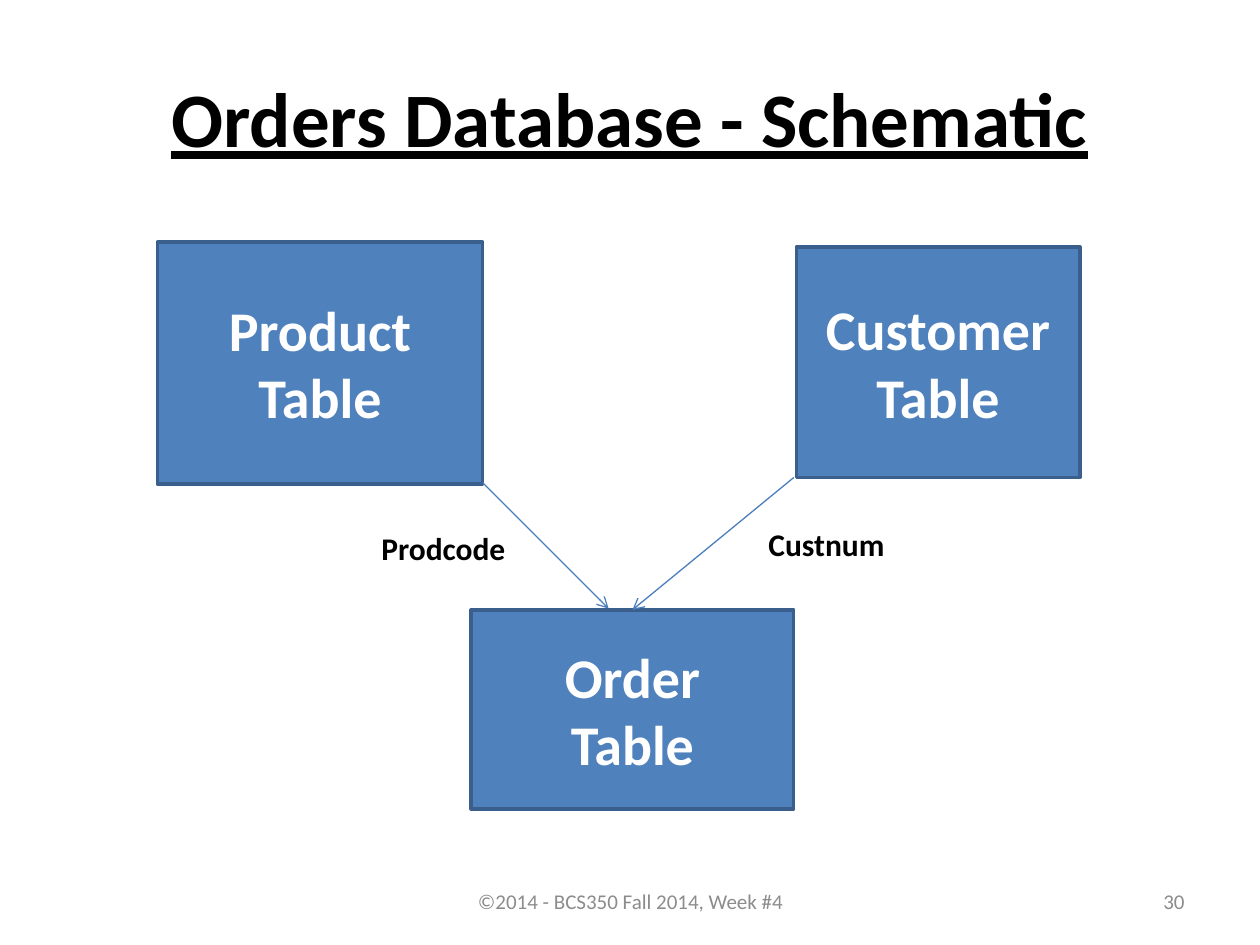
from lxml import etree
from pptx import Presentation
from pptx.dml.color import RGBColor
from pptx.enum.shapes import MSO_CONNECTOR, MSO_SHAPE
from pptx.enum.text import MSO_ANCHOR, PP_ALIGN
from pptx.oxml.ns import qn
from pptx.util import Inches, Pt

FONT = "Calibri"
COLORS = {"text": "000000", "footer": "8C8C8C", "box": "4F81BD",
          "border": "3A5F8C", "box_text": "FFFFFF", "arrow": "4B7EBC"}
LEFT, CENTER, RIGHT = PP_ALIGN.LEFT, PP_ALIGN.CENTER, PP_ALIGN.RIGHT
TOP, MIDDLE = MSO_ANCHOR.TOP, MSO_ANCHOR.MIDDLE

# text, (left, top, width, height), size, color, alignment, anchor, bold, underline
TEXTS = [
    ("Orders Database - Schematic", (0.5, 0.3, 9, 1.25), 44, "text", CENTER, MIDDLE, True, True),
    ("©2014 - BCS350 Fall 2014, Week #4", (3.42, 6.95, 3.17, 0.4), 12, "footer", CENTER, MIDDLE, False, False),
    ("30", (7.17, 6.95, 2.33, 0.4), 12, "footer", RIGHT, MIDDLE, False, False),
    ("Prodcode", (2.61, 4.15, 1.5, 0.4), 18, "text", RIGHT, TOP, True, False),
    ("Custnum", (6, 4.12, 1.7, 0.4), 18, "text", LEFT, TOP, True, False),
]
TABLES = [
    ("Product", (1.25, 1.92, 2.58, 1.92)),
    ("Customer", (6.32, 1.96, 2.25, 1.83)),
    ("Order", (3.74, 4.84, 2.56, 1.58)),
]
ARROWS = [((3.83, 3.83), (4.83, 4.83)), ((6.3, 3.79), (5.02, 4.84))]


def rgb(name):
    """Return the named color."""
    return RGBColor.from_string(COLORS[name])


def write(shape, lines, size, color, align, anchor, bold, underline=False):
    """Fill a shape with one styled paragraph per line."""
    frame = shape.text_frame
    frame.word_wrap = True
    frame.vertical_anchor = anchor
    frame.text = "\n".join(lines)
    for paragraph in frame.paragraphs:
        paragraph.alignment = align
        font = paragraph.runs[0].font
        font.name, font.size = FONT, Pt(size)
        font.bold, font.underline = bold, underline
        font.color.rgb = rgb(color)


def add_text(slide, text, place, *style):
    """Add a text box."""
    write(slide.shapes.add_textbox(*map(Inches, place)), [text], *style)


def add_table_box(slide, name, place):
    """Add a box that stands for one database table."""
    box = slide.shapes.add_shape(MSO_SHAPE.RECTANGLE, *map(Inches, place))
    box.shadow.inherit = False
    box.fill.solid()
    box.fill.fore_color.rgb = rgb("box")
    box.line.color.rgb = rgb("border")
    box.line.width = Pt(2)
    write(box, [name, "Table"], 32, "box_text", CENTER, MIDDLE, True)


def add_arrow(slide, start, end):
    """Add a straight line with an open arrowhead at its end."""
    arrow = slide.shapes.add_connector(MSO_CONNECTOR.STRAIGHT, *map(Inches, start + end))
    arrow.line.color.rgb = rgb("arrow")
    arrow.line.width = Pt(0.75)
    etree.SubElement(arrow.line._get_or_add_ln(), qn("a:tailEnd"), type="arrow")
    etree.SubElement(arrow._element.spPr, qn("a:effectLst"))


def main():
    """Build and save the slide."""
    prs = Presentation()
    prs.slide_width, prs.slide_height = Inches(10), Inches(7.5)
    slide = prs.slides.add_slide(prs.slide_layouts[6])
    for table in TABLES:
        add_table_box(slide, *table)
    for arrow in ARROWS:
        add_arrow(slide, *arrow)
    for text in TEXTS:
        add_text(slide, *text)
    prs.save("out.pptx")


main()
